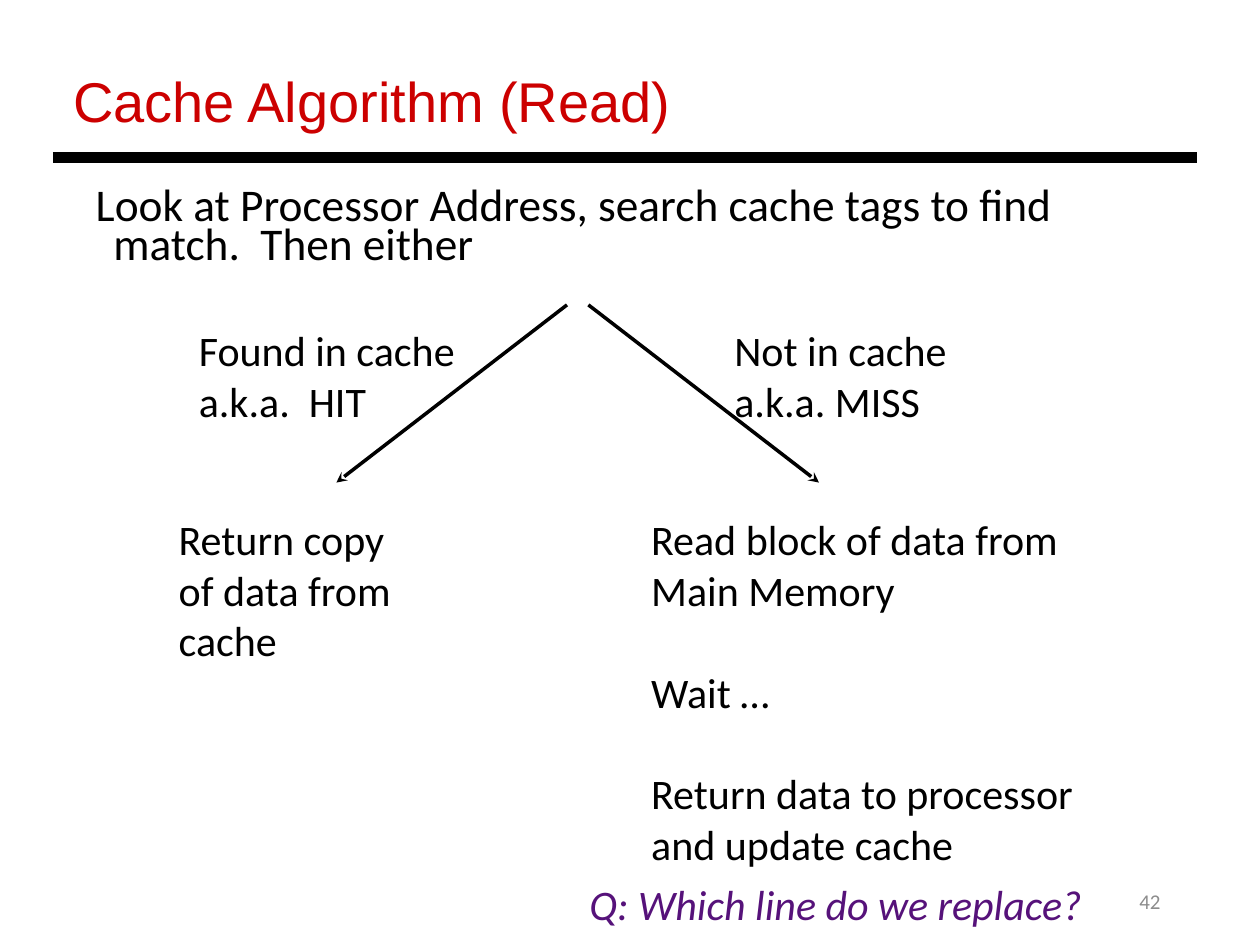
import pptx
import pptx.util
import pptx.dml.color
import pptx.oxml
import pptx.oxml.ns
from pptx.enum.shapes import MSO_CONNECTOR
from pptx.enum.text import MSO_ANCHOR, MSO_AUTO_SIZE, PP_ALIGN

Inches, Pt = pptx.util.Inches, pptx.util.Pt

# Content
TITLE = "Cache Algorithm (Read)"
INTRO = "Look at Processor Address, search cache tags to find match.  Then either"
QUESTION = "Q: Which line do we replace?"
PAGE_NUMBER = "42"

# Each outcome: arrow ends, then text boxes of (place, blocks of lines)
OUTCOMES = [
    {
        "arrow": (4.5, 2.42, 2.67, 3.83),
        "boxes": [
            ((1.48, 2.53, 2.26, 0.91), [["Found in cache", "a.k.a.  HIT"]]),
            ((1.32, 4.03, 1.91, 1.31), [["Return copy", "of data from", "cache"]]),
        ],
    },
    {
        "arrow": (4.67, 2.42, 6.5, 3.83),
        "boxes": [
            ((5.73, 2.53, 1.91, 0.91), [["Not in cache", "a.k.a. MISS"]]),
            ((5.07, 4.03, 3.61, 2.93), [
                ["Read block of data from", "Main Memory"],
                ["Wait …"],
                ["Return data to processor", "and update cache"],
            ]),
        ],
    },
]
BLOCK_GAP = 29.3  # one line of 24 pt text


def color(code):
    return pptx.dml.color.RGBColor.from_string(code)


def place(shape, left, top, width, height):
    shape.left, shape.top = Inches(left), Inches(top)
    shape.width, shape.height = Inches(width), Inches(height)


def write(shape, blocks, size=24, font="Calibri", ink="000000", italic=False,
          align=PP_ALIGN.LEFT, anchor=MSO_ANCHOR.TOP, wrap=False, top_inset=0.05):
    """Fill a shape with blocks of lines, one paragraph per line."""
    frame = shape.text_frame
    frame.auto_size = MSO_AUTO_SIZE.NONE
    frame.word_wrap = wrap
    frame.vertical_anchor = anchor
    frame.margin_left = frame.margin_right = Inches(0.1)
    frame.margin_top, frame.margin_bottom = Inches(top_inset), Inches(0.05)
    for block_index, lines in enumerate(blocks):
        for line_index, line in enumerate(lines):
            first = block_index == line_index == 0
            para = frame.paragraphs[0] if first else frame.add_paragraph()
            para.alignment = align
            new_block = block_index > 0 and line_index == 0
            para.space_before = Pt(BLOCK_GAP if new_block else 0)
            span = para.add_run()
            span.text = line
            span.font.size, span.font.name = Pt(size), font
            span.font.italic = italic
            span.font.color.rgb = color(ink)
    return frame


def add_text(page, spot, blocks, **style):
    box = page.shapes.add_textbox(*map(Inches, spot))
    write(box, blocks, **style)


def add_line(page, ends, width, arrow=False):
    line = page.shapes.add_connector(MSO_CONNECTOR.STRAIGHT, *map(Inches, ends))
    line.line.color.rgb = color("000000")
    line.line.width = Pt(width)
    if arrow:
        head = pptx.oxml.parse_xml(
            f'<a:tailEnd {pptx.oxml.ns.nsdecls("a")} type="stealth"/>')
        line.line._get_or_add_ln().append(head)
    effects = pptx.oxml.parse_xml(f'<a:effectLst {pptx.oxml.ns.nsdecls("a")}/>')
    line._element.spPr.append(effects)


def main():
    deck = pptx.Presentation()
    deck.slide_width, deck.slide_height = Inches(10), Inches(7.5)
    page = deck.slides.add_slide(deck.slide_layouts[1])

    # Title and rule
    title, body = page.shapes.title, page.placeholders[1]
    place(title, 0.48, 0.43, 7.7, 0.64)
    write(title, [[TITLE]], size=32, font="Arial", ink="CC0000", wrap=True,
          top_inset=0.1)
    add_line(page, (0.42, 1.25, 9.5, 1.25), 6)

    # Introduction with a hanging indent and no bullet
    place(body, 0.42, 1.44, 8.5, 0.79)
    frame = write(body, [[INTRO]], size=25.9, wrap=True, top_inset=0.08)
    para = frame.paragraphs[0]
    para.line_spacing = 0.7
    properties = para._p.get_or_add_pPr()
    properties.set("marL", str(Inches(0.38)))
    properties.set("indent", str(Inches(-0.14)))
    properties.append(pptx.oxml.parse_xml(
        f'<a:buNone {pptx.oxml.ns.nsdecls("a")}/>'))

    # Hit and miss branches
    for outcome in OUTCOMES:
        add_line(page, outcome["arrow"], 2, arrow=True)
        for spot, blocks in outcome["boxes"]:
            add_text(page, spot, blocks)

    # Closing question and page number
    add_text(page, (4.58, 6.92, 4.2, 0.51), [[QUESTION]], ink="56127A", italic=True)
    add_text(page, (7.06, 6.95, 2.25, 0.4), [[PAGE_NUMBER]], size=12, ink="8C8C8C",
             align=PP_ALIGN.RIGHT, anchor=MSO_ANCHOR.MIDDLE, wrap=True)

    deck.save("out.pptx")


if __name__ == "__main__":
    main()
